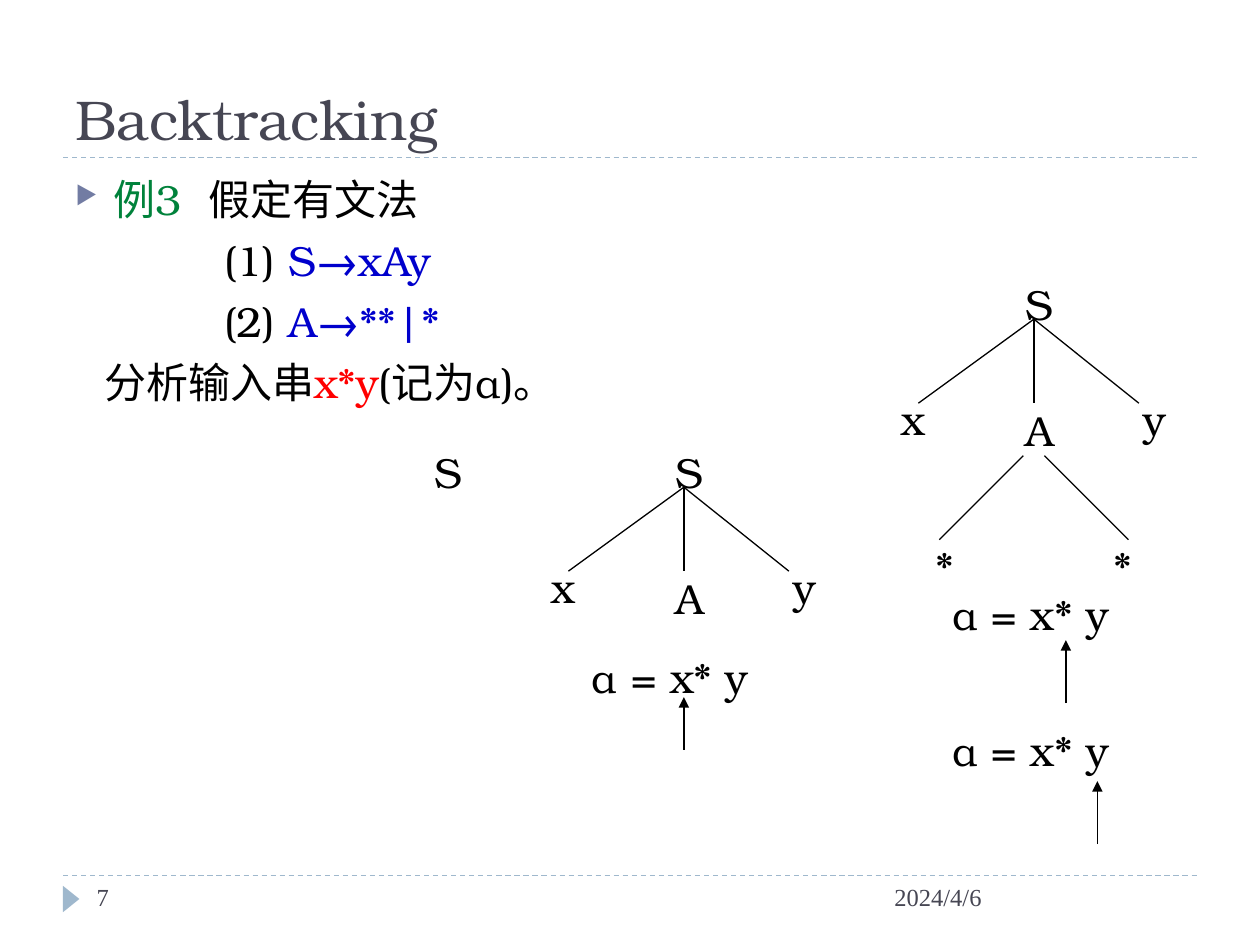
from lxml.etree import SubElement
from pptx import Presentation
from pptx.dml.color import RGBColor
from pptx.enum.dml import MSO_LINE
from pptx.enum.shapes import MSO_CONNECTOR, MSO_SHAPE
from pptx.enum.text import MSO_ANCHOR, PP_ALIGN
from pptx.oxml.ns import qn
from pptx.util import Pt

SERIF = "TeX Gyre Bonum"
TIMES = "Times New Roman"
BLACK, SLATE, PALE = "000000", "464653", "9FB8CD"
GREEN, BLUE, RED, BULLET = "00823B", "0000CC", "FF0000", "727CA3"


def rgb(value):
    return RGBColor.from_string(value)


class Deck:
    def __init__(self, prs):
        self.s = prs.slides.add_slide(prs.slide_layouts[6])

    def box(self, x, y, w, h, anchor=MSO_ANCHOR.TOP, wrap=True):
        tf = self.s.shapes.add_textbox(Pt(x), Pt(y), Pt(w), Pt(h)).text_frame
        tf.word_wrap = wrap
        tf.vertical_anchor = anchor
        return tf

    def run(self, p, text, color=BLACK, size=24, font=SERIF):
        r = p.add_run()
        r.text = text
        r.font.size = Pt(size)
        r.font.name = font
        r.font.color.rgb = rgb(color)

    def text(self, x, y, w, h, text, color=SLATE, size=14, font=TIMES,
             anchor=MSO_ANCHOR.TOP):
        self.run(self.box(x, y, w, h, anchor).paragraphs[0], text, color, size, font)

    def label(self, x, y, text, w=30, h=30, align=PP_ALIGN.CENTER):
        p = self.box(x, y, w, h, MSO_ANCHOR.MIDDLE, False).paragraphs[0]
        p.alignment = align
        self.run(p, text)

    def line(self, x1, y1, x2, y2, color=BLACK, width=0.75, dash=None, arrow=False):
        c = self.s.shapes.add_connector(MSO_CONNECTOR.STRAIGHT, Pt(x1), Pt(y1), Pt(x2), Pt(y2))
        c.line.color.rgb = rgb(color)
        c.line.width = Pt(width)
        if dash:
            c.line.dash_style = dash
        if arrow:
            SubElement(c.line._get_or_add_ln(), qn("a:tailEnd"), type="triangle")
        SubElement(c._element.spPr, qn("a:effectLst"))

    def triangle(self, x, y, w, h, color):
        sp = self.s.shapes.add_shape(MSO_SHAPE.ISOSCELES_TRIANGLE, Pt(x), Pt(y), Pt(w), Pt(h))
        sp.rotation = 90
        sp.shadow.inherit = False
        sp.fill.solid()
        sp.fill.fore_color.rgb = rgb(color)
        sp.line.fill.background()

    def body(self, x, y, w, h, paragraphs):
        tf = self.box(x, y, w, h)
        for i, (indent, bullet, runs) in enumerate(paragraphs):
            p = tf.add_paragraph() if i else tf.paragraphs[0]
            p.space_before = Pt(6)
            pPr = p._p.get_or_add_pPr()
            pPr.set("marL", str(Pt(indent)))
            if bullet:
                pPr.set("indent", str(-Pt(indent)))
                clr = SubElement(pPr, qn("a:buClr"))
                SubElement(clr, qn("a:srgbClr"), val=BULLET)
                SubElement(pPr, qn("a:buSzPct"), val="60000")
                SubElement(pPr, qn("a:buChar"), char="▶")
            for text, color in runs:
                self.run(p, text, color)

    def tree(self, x, y, expanded=False):
        nodes = [("S", 0, 0), ("x", -72, 66), ("A", 0, 72), ("y", 66, 66)]
        edges = [(12, 24, end, 72) for end in (12, -54, 72)]
        if expanded:
            nodes += [("*", -54, 150), ("*", 48, 150)]
            edges += [(6, 102, -42, 150), (18, 102, 66, 150)]
        for text, dx, dy in nodes:
            self.label(x + dx, y + dy, text)
        for x1, y1, x2, y2 in edges:
            self.line(x + x1, y + y1, x + x2, y + y2)

    def input_state(self, x, y, pointer, tip, length, width=0.75):
        self.label(x, y, "α = x* y", 144, 36, PP_ALIGN.LEFT)
        self.line(pointer, tip + length, pointer, tip, width=width, arrow=True)


def main():
    prs = Presentation()
    prs.slide_width, prs.slide_height = Pt(720), Pt(540)
    d = Deck(prs)

    for y in (500.4, 90):
        d.line(36, y, 684, y, PALE, dash=MSO_LINE.DASH)
    d.triangle(33.1, 509, 15.1, 9.4, PALE)
    d.text(36, 12.2, 648, 77.8, "Backtracking", size=32, font=SERIF, anchor=MSO_ANCHOR.BOTTOM)
    d.body(36, 95.8, 648, 388.8, [
        (21.6, True, [("例3  ", GREEN), ("假定有文法", BLACK)]),
        (85, False, [("(1) ", BLACK), ("S→xAy", BLUE)]),
        (85, False, [("(2) ", BLACK), ("A→**|*", BLUE)]),
        (16.4, False, [("分析输入串", BLACK), ("x*y", RED), ("(记为α)。", BLACK)]),
    ])
    d.text(504, 500.4, 180, 28.8, "2024/4/6")
    d.text(48.2, 500.4, 156.2, 28.8, "7")

    d.label(241.2, 254.4, "S")
    d.tree(378.8, 254.4)
    d.tree(578.8, 158.4, expanded=True)

    d.input_state(331.2, 368.6, 390.8, 398.4, 30, 1)
    d.input_state(537.2, 332.6, 609.1, 365.8, 36)
    d.input_state(537.2, 410.4, 627.1, 446.4, 36)
    prs.save("out.pptx")


if __name__ == "__main__":
    main()
